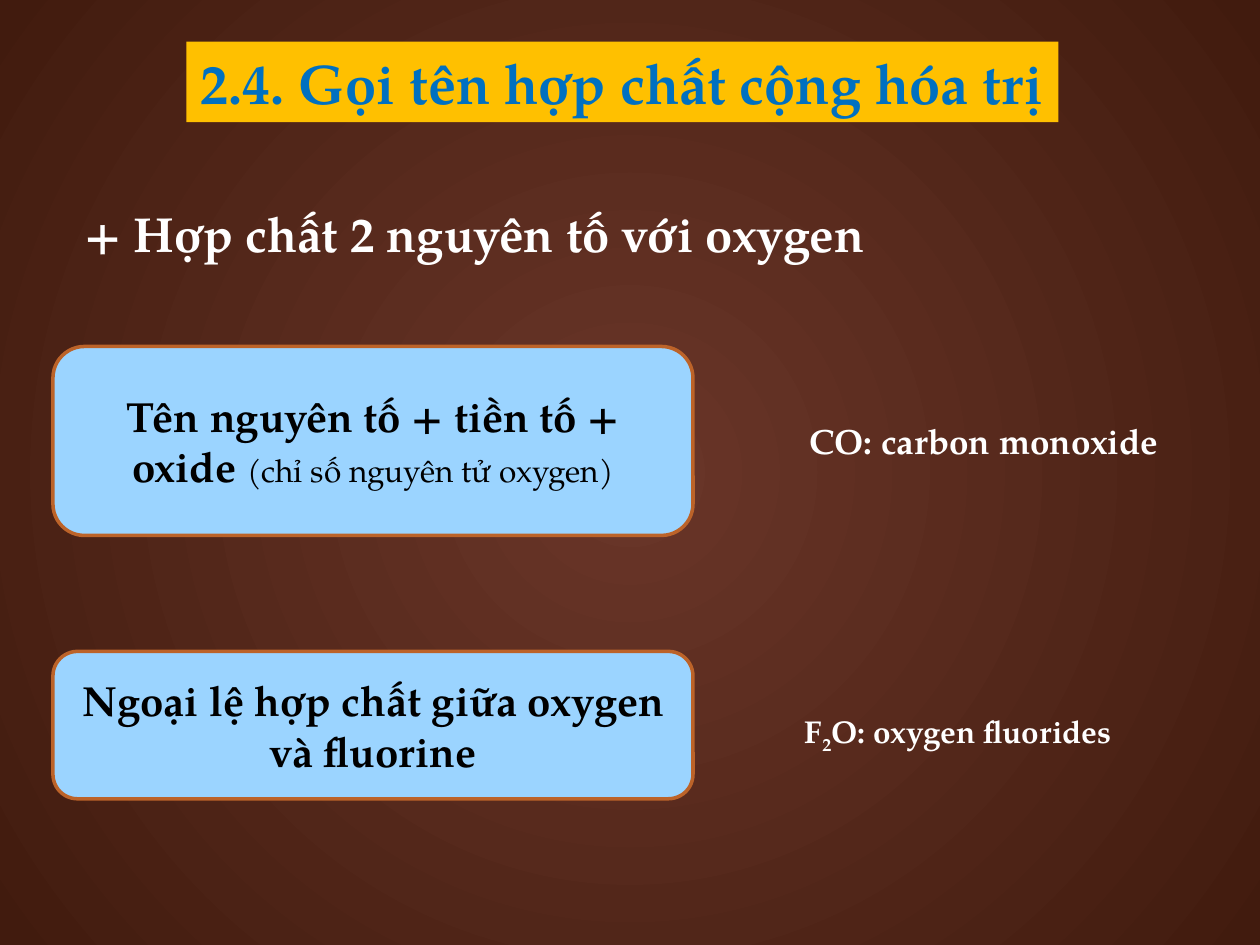
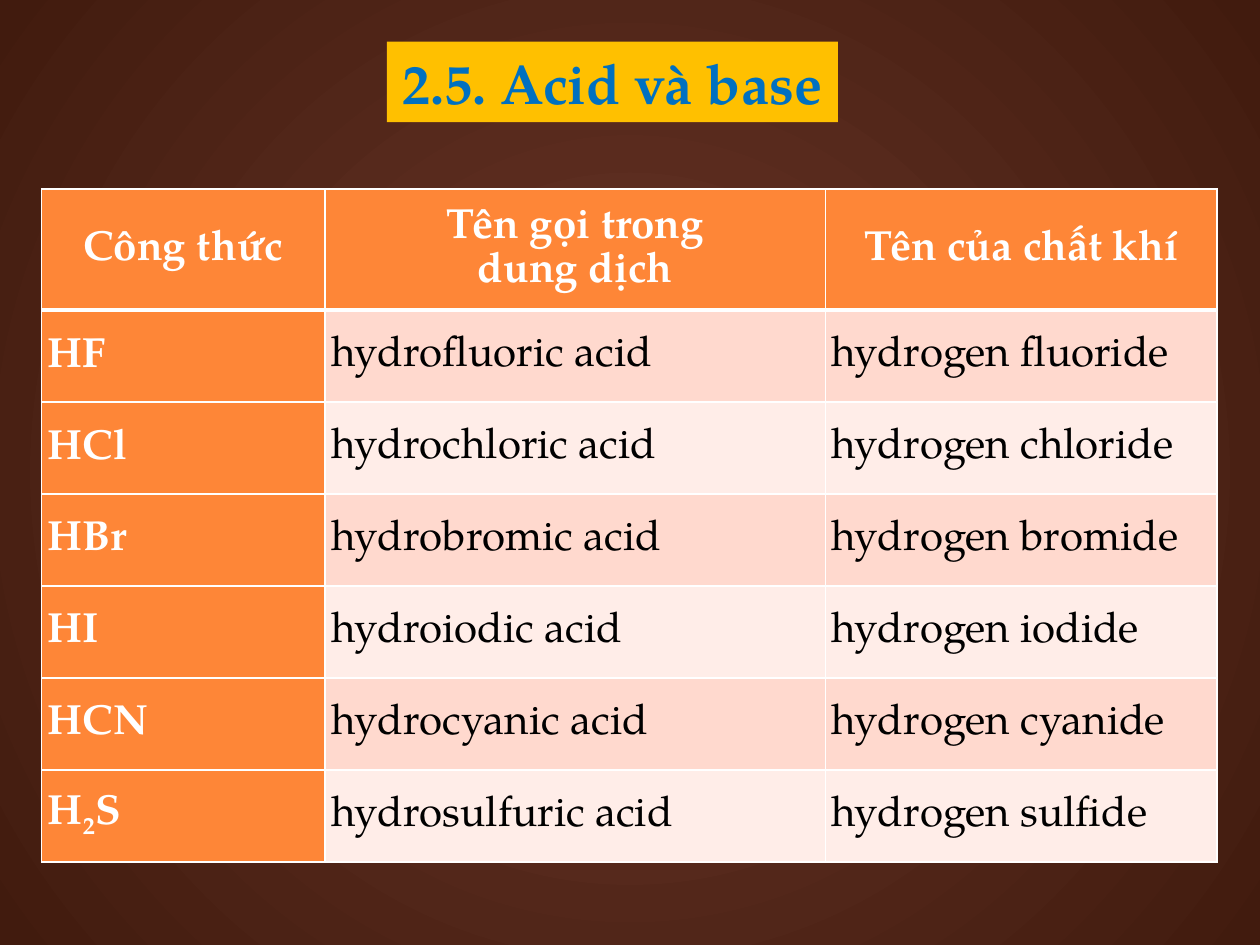
import pptx
import pptx.util
import pptx.dml.color
import pptx.enum.shapes
import pptx.enum.text
import pptx.oxml
import pptx.oxml.ns

Inches = pptx.util.Inches
Pt = pptx.util.Pt
RGBColor = pptx.dml.color.RGBColor
ALIGN = pptx.enum.text.PP_ALIGN
MIDDLE = pptx.enum.text.MSO_ANCHOR.MIDDLE
qn = pptx.oxml.ns.qn

FONT = "TeX Gyre Pagella"
GLOW = RGBColor(0x6A, 0x36, 0x29)
BROWN = RGBColor(0x41, 0x1B, 0x0E)
GOLD = RGBColor(0xFF, 0xC0, 0x00)
BLUE = RGBColor(0x00, 0x70, 0xC0)
SKY = RGBColor(0x9B, 0xD4, 0xFF)
RUST = RGBColor(0xBC, 0x63, 0x29)
ORANGE = RGBColor(0xFE, 0x86, 0x37)
PEACH = RGBColor(0xFF, 0xD9, 0xCE)
PALE = RGBColor(0xFF, 0xED, 0xE8)
WHITE = RGBColor(0xFF, 0xFF, 0xFF)
BLACK = RGBColor(0x00, 0x00, 0x00)


def write(p, text, size, color, bold=True, align=ALIGN.LEFT):
    p.alignment = align
    p.font.name = FONT
    p.font.size = Pt(size)
    p.font.bold = bold
    p.font.color.rgb = color
    for i, part in enumerate(text.split("~")):
        r = p.add_run()
        r.text = part
        if i % 2:
            r._r.get_or_add_rPr().set("baseline", "-25000")


def add_titled_slide(title, left, width):
    s = prs.slides.add_slide(prs.slide_layouts[5])
    sp = s.shapes.title
    sp.left, sp.top, sp.width, sp.height = Inches(left), Inches(0.33), Inches(width), Inches(0.64)
    sp.fill.solid()
    sp.fill.fore_color.rgb = GOLD
    tf = sp.text_frame
    tf.word_wrap = False
    tf.auto_size = pptx.enum.text.MSO_AUTO_SIZE.NONE
    tf.vertical_anchor = MIDDLE
    write(tf.paragraphs[0], title, 32, BLUE, align=ALIGN.CENTER)
    return s


prs = pptx.Presentation()
prs.slide_width = Inches(10)
prs.slide_height = Inches(7.5)

fill = prs.slide_master.background.fill
fill.gradient()
for stop, color in zip(fill.gradient_stops, (GLOW, BROWN)):
    stop.color.rgb = color
lin = next(prs.slide_master.element.iter(qn("a:lin")))
lin.getparent().replace(lin, pptx.oxml.parse_xml(
    f'<a:path {pptx.oxml.ns.nsdecls("a")} path="circle">'
    '<a:fillToRect l="50000" t="50000" r="50000" b="50000"/></a:path>'))

s = add_titled_slide("2.4. Gọi tên hợp chất cộng hóa trị", 1.48, 6.92)

labels = [
    ("+ Hợp chất 2 nguyên tố với oxygen", 0.57, 1.47, 7.23, 0.67, 28, 1.2),
    ("CO: carbon monoxide", 6.33, 3.28, 3.67, 0.44, 20, 1),
    ("F~2~O: oxygen fluorides", 6.29, 5.6, 2.75, 0.4, 18, 1),
]
for text, left, top, width, height, size, spacing in labels:
    sp = s.shapes.add_textbox(Inches(left), Inches(top), Inches(width), Inches(height))
    tf = sp.text_frame
    tf.word_wrap = True
    p = tf.paragraphs[0]
    p.line_spacing = spacing
    write(p, text, size, WHITE)

rules = [
    ("Tên nguyên tố + tiền tố + oxide ", "(chỉ số nguyên tử oxygen)", 2.75, 1.5),
    ("Ngoại lệ hợp chất giữa oxygen và fluorine", "", 5.17, 1.17),
]
for text, note, top, height in rules:
    sp = s.shapes.add_shape(pptx.enum.shapes.MSO_SHAPE.ROUNDED_RECTANGLE,
                            Inches(0.42), Inches(top), Inches(5.08), Inches(height))
    sp.shadow.inherit = False
    sp.fill.solid()
    sp.fill.fore_color.rgb = SKY
    sp.line.color.rgb = RUST
    sp.line.width = Pt(2)
    tf = sp.text_frame
    tf.word_wrap = True
    tf.vertical_anchor = MIDDLE
    p = tf.paragraphs[0]
    write(p, text, 24, BLACK, align=ALIGN.CENTER)
    if note:
        r = p.add_run()
        r.text = note
        r.font.size = Pt(18)
        r.font.bold = False

s = add_titled_slide("2.5. Acid và base", 3.07, 3.58)

rows = [
    ("Công thức", "Tên gọi trong\ndung dịch", "Tên của chất khí"),
    ("HF", "hydrofluoric acid", "hydrogen fluoride"),
    ("HCl", "hydrochloric acid", "hydrogen chloride"),
    ("HBr", "hydrobromic acid", "hydrogen bromide"),
    ("HI", "hydroiodic acid", "hydrogen iodide"),
    ("HCN", "hydrocyanic acid", "hydrogen cyanide"),
    ("H~2~S", "hydrosulfuric acid", "hydrogen sulfide"),
]
table = s.shapes.add_table(len(rows), 3, Inches(0.33), Inches(1.5),
                           Inches(9.33), Inches(5.32)).table
for column, width in zip(table.columns, (2.25, 3.97, 3.11)):
    column.width = Inches(width)
for i, row in enumerate(rows):
    table.rows[i].height = Inches(0.73 if i else 0.96)
    for j, text in enumerate(row):
        cell = table.cell(i, j)
        header = i == 0
        strong = header or j == 0
        cell.vertical_anchor = MIDDLE
        cell.margin_left = cell.margin_right = Inches(0.05)
        cell.margin_top = cell.margin_bottom = Inches(0.05)
        for side in "LRTB":
            thick = (i, side) in ((0, "B"), (1, "T"))
            cell._tc.get_or_add_tcPr().append(pptx.oxml.parse_xml(
                f'<a:ln{side} {pptx.oxml.ns.nsdecls("a")} w="{Pt(3 if thick else 1)}">'
                f'<a:solidFill><a:srgbClr val="{WHITE}"/></a:solidFill></a:ln{side}>'))
        cell.fill.solid()
        cell.fill.fore_color.rgb = ORANGE if strong else PEACH if i % 2 else PALE
        tf = cell.text_frame
        for k, line in enumerate(text.split("\n")):
            p = tf.add_paragraph() if k else tf.paragraphs[0]
            p.line_spacing = 1.07
            write(p, line, 24, WHITE if strong else BLACK, strong,
                  ALIGN.CENTER if header else ALIGN.LEFT)

prs.save("out.pptx")
